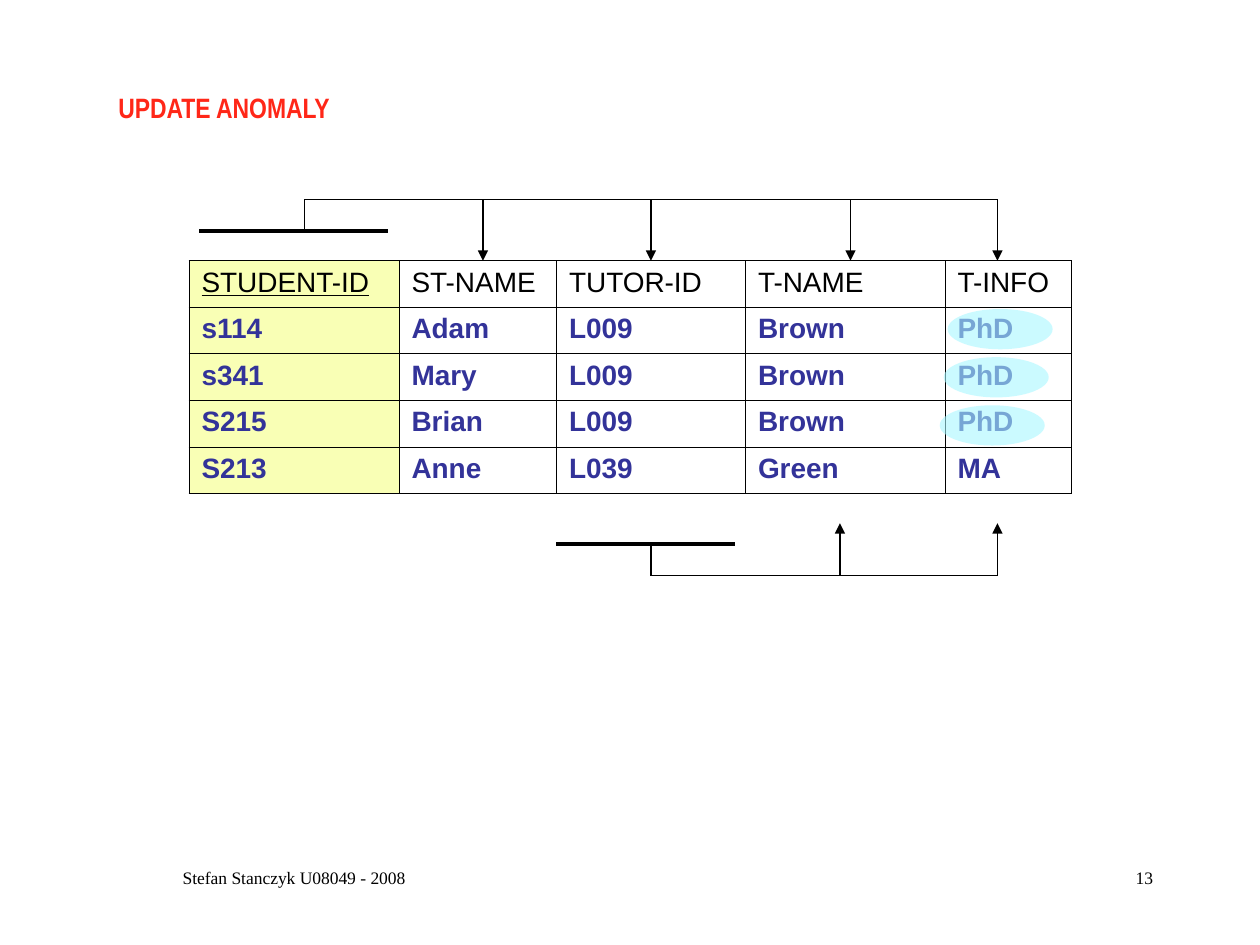
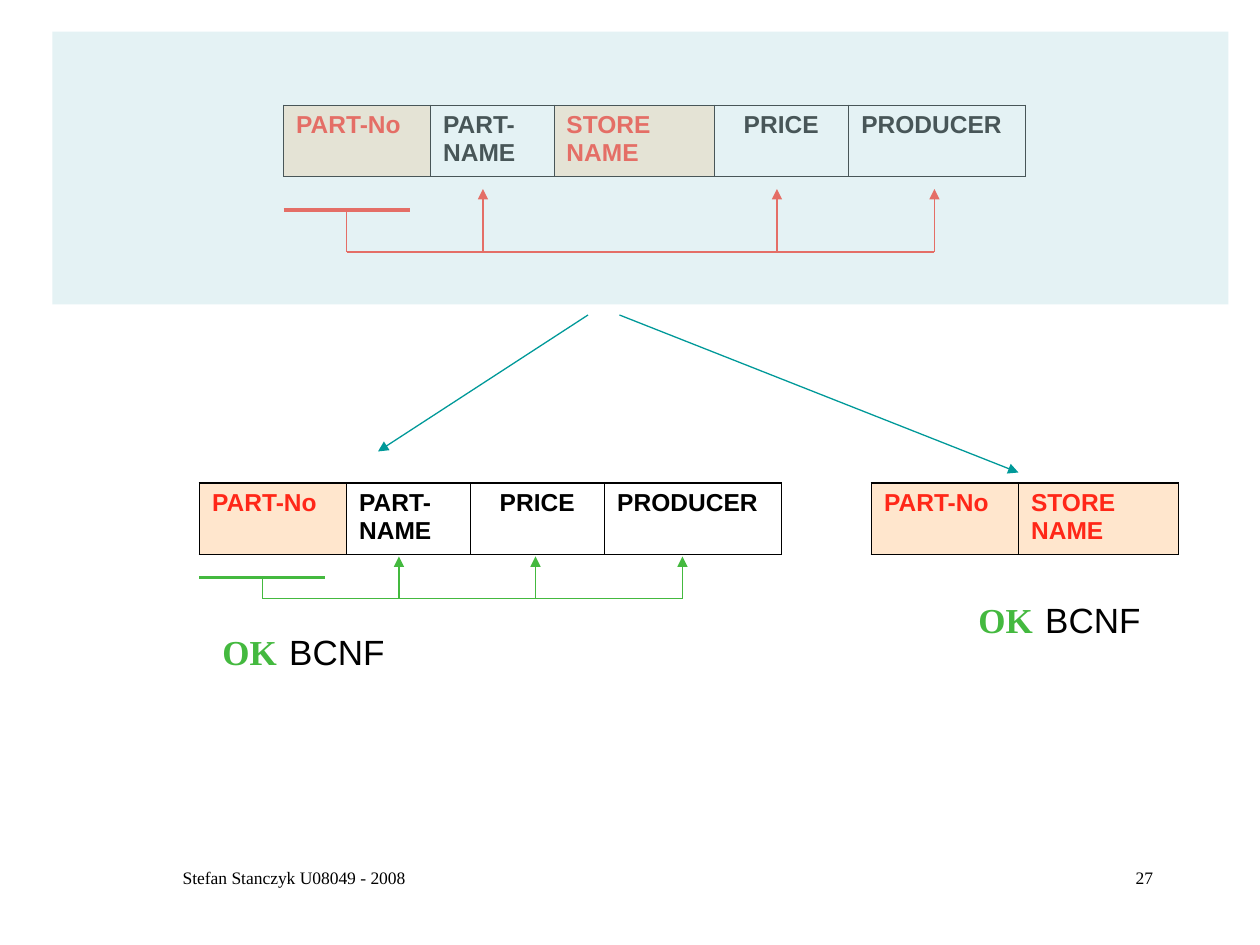
"""Build two database normalisation slides."""
import dataclasses

import lxml.etree
import pptx
import pptx.dml.color
import pptx.enum.shapes
import pptx.enum.text
import pptx.oxml.ns
import pptx.util

Pt = pptx.util.Pt
ALIGN = pptx.enum.text.PP_ALIGN
SHAPE = pptx.enum.shapes.MSO_SHAPE


@dataclasses.dataclass(frozen=True)
class Theme:
    """Colours, fonts, type sizes and line weights of the deck."""

    black: str = "000000"
    red: str = "FF2718"
    green: str = "44B93F"
    teal: str = "009999"
    navy: str = "333399"
    yellow: str = "F9FFB5"
    peach: str = "FFE6CD"
    cyan: str = "A8F8FF"
    pale_blue: str = "BBE0E3"
    sans: str = "Arial"
    narrow: str = "Arial Narrow"
    serif: str = "Times New Roman"
    footer_size: float = 10
    relation_size: float = 14
    heading_size: float = 16
    verdict_size: float = 20
    gap_size: float = 28
    hairline: float = 0.45
    thin: float = 0.75
    frame: float = 1.08
    bar: float = 2.25


@dataclasses.dataclass(frozen=True)
class Box:
    """A rectangle in points."""

    left: float
    top: float
    width: float
    height: float

    def lengths(self):
        """Return the four sides as slide lengths."""
        return Pt(self.left), Pt(self.top), Pt(self.width), Pt(self.height)


THEME = Theme()
COLUMN_WIDTHS = {"PART-No": 84, "PART-NAME": 70.5, "STORE NAME": 91.5,
                 "PRICE": 77, "PRODUCER": 101}
KEY_COLUMNS = ("PART-No", "STORE NAME")
STUDENT_WIDTHS = (120, 90, 108, 114, 72)
STUDENTS = (
    ("STUDENT-ID", "ST-NAME", "TUTOR-ID", "T-NAME", "T-INFO"),
    ("s114", "Adam", "L009", "Brown", "PhD"),
    ("s341", "Mary", "L009", "Brown", "PhD"),
    ("S215", "Brian", "L009", "Brown", "PhD"),
    ("S213", "Anne", "L039", "Green", "MA"),
)


def rgb(colour):
    """Turn a hex string into a colour."""
    return pptx.dml.color.RGBColor.from_string(colour)


def add_element(parent, tag, **attributes):
    """Append a drawing element to its parent."""
    return lxml.etree.SubElement(parent, pptx.oxml.ns.qn(tag), attributes)


def add_span(para, text, size, colour, face, bold=False, underline=False):
    """Add one formatted run."""
    span = para.add_run()
    span.text = text
    span.font.size = Pt(size)
    span.font.name = face
    span.font.bold = bold
    span.font.underline = underline
    span.font.color.rgb = rgb(colour)


def add_text(page, box, spans, align=ALIGN.LEFT, wrap=False):
    """Add a text box with one paragraph of runs."""
    frame = page.shapes.add_textbox(*box.lengths()).text_frame
    frame.word_wrap = wrap
    if not wrap:
        frame.auto_size = pptx.enum.text.MSO_AUTO_SIZE.SHAPE_TO_FIT_TEXT
    para = frame.paragraphs[0]
    para.alignment = align
    for span in spans:
        add_span(para, *span)


def add_line(page, start, end, colour, weight=THEME.thin, arrow=False):
    """Draw a straight line, optionally with an arrowhead at its end."""
    line = page.shapes.add_connector(
        pptx.enum.shapes.MSO_CONNECTOR.STRAIGHT,
        *(Pt(value) for value in (*start, *end)))
    line.line.width = Pt(weight)
    line.line.color.rgb = rgb(colour)
    properties = line.element.spPr
    if arrow:
        add_element(properties.find(pptx.oxml.ns.qn("a:ln")), "a:tailEnd",
                    type="triangle", w="med", len="med")
    add_element(properties, "a:effectLst")


def add_veil(page, kind, box, colour, opacity):
    """Lay a translucent shape over the page."""
    veil = page.shapes.add_shape(kind, *box.lengths())
    veil.shadow.inherit = False
    veil.line.fill.background()
    veil.fill.solid()
    veil.fill.fore_color.rgb = rgb(colour)
    tint = next(veil.element.spPr.iter(pptx.oxml.ns.qn("a:srgbClr")))
    add_element(tint, "a:alpha", val=str(opacity * 1000))


def add_grid(page, box, widths, row_count):
    """Add a plain table with the given columns and equal rows."""
    table = page.shapes.add_table(row_count, len(widths), *box.lengths()).table
    table.first_row = table.horz_banding = False
    for column, width in zip(table.columns, widths):
        column.width = Pt(width)
    for row in table.rows:
        row.height = Pt(box.height / row_count)
    return table


def set_cell(cell, fill, weights):
    """Set a cell's left, right, top and bottom borders, then its fill."""
    properties = cell._tc.get_or_add_tcPr()
    for side, weight in zip("LRTB", weights):
        border = add_element(properties, f"a:ln{side}", w=str(int(Pt(weight))))
        add_element(add_element(border, "a:solidFill"), "a:srgbClr",
                    val=THEME.black)
    if fill:
        cell.fill.solid()
        cell.fill.fore_color.rgb = rgb(fill)
    else:
        cell.fill.background()


def add_students(page, box):
    """Add the student table with its highlighted key column."""
    table = add_grid(page, box, STUDENT_WIDTHS, len(STUDENTS))
    for row, values in enumerate(STUDENTS):
        for column, value in enumerate(values):
            cell = table.cell(row, column)
            key, header = column == 0, row == 0
            set_cell(cell, THEME.yellow if key else None, [THEME.hairline] * 4)
            add_span(cell.text_frame.paragraphs[0], value, THEME.heading_size,
                     THEME.black if header else THEME.navy, THEME.sans,
                     bold=not header, underline=key and header)


def add_relation(page, left, top, names, outer):
    """Add a one-row relation schema with an outer border weight."""
    widths = [COLUMN_WIDTHS[name] for name in names]
    table = add_grid(page, Box(left, top, sum(widths), 40.6), widths, 1)
    for column, name in enumerate(names):
        cell = table.cell(0, column)
        key = name in KEY_COLUMNS
        set_cell(cell, THEME.peach if key else None, (
            outer if column == 0 else THEME.hairline,
            outer if column == len(names) - 1 else THEME.hairline,
            outer, outer))
        para = cell.text_frame.paragraphs[0]
        para.alignment = ALIGN.CENTER if name == "PRICE" else ALIGN.LEFT
        add_span(para, name, THEME.relation_size,
                 THEME.red if key else THEME.black, THEME.sans, bold=True)


def add_dependency(page, box, bar_length, bar_drop, stem, targets, colour,
                   downward=False):
    """Draw a key bar joined by a rail to arrows at the target offsets."""
    bottom = box.top + box.height
    rail, tip = (box.top, bottom) if downward else (bottom, box.top)
    bar = box.top + bar_drop
    stem_x, right = box.left + stem, box.left + box.width
    add_line(page, (box.left, bar), (box.left + bar_length, bar), colour,
             THEME.bar)
    add_line(page, (stem_x, bar), (stem_x, rail), colour)
    add_line(page, (stem_x, rail), (right, rail), colour)
    for target in (*targets, box.width):
        x = box.left + target
        add_line(page, (x, rail), (x, tip), colour, arrow=True)


def add_verdict(page, left, top):
    """Add the normal form verdict."""
    add_text(page, Box(left, top, 107.5, 41), (
        ("OK", THEME.verdict_size, THEME.green, THEME.serif, True),
        (" ", THEME.gap_size, THEME.green, THEME.serif),
        ("BCNF", THEME.verdict_size, THEME.black, THEME.sans)))


def add_footer(page, box, number):
    """Add the author line and the page number in the footer strip."""
    for left, width, text, align in (
            (0, 228, "Stefan Stanczyk U08049 - 2008", ALIGN.CENTER),
            (box.width - 150, 150, number, ALIGN.RIGHT)):
        add_text(page, Box(box.left + left, box.top, width, box.height),
                 [(text, THEME.footer_size, THEME.black, THEME.serif)],
                 align, wrap=True)


def add_page(deck, number):
    """Add a blank page with the shared footer."""
    page = deck.slides.add_slide(deck.slide_layouts[6])
    add_footer(page, Box(54, 492, 612, 36), number)
    return page


def build_anomaly(deck):
    """Build the update anomaly slide."""
    page = add_page(deck, "13")
    add_text(page, Box(60.5, 48.2, 137.5, 26.6), [
        ("UPDATE ANOMALY", THEME.heading_size, THEME.red, THEME.narrow, True)])
    add_students(page, Box(108, 149, sum(STUDENT_WIDTHS), 133))
    add_dependency(page, Box(114, 114, 456, 35), 108, 18, 60,
                   (162, 258, 372), THEME.black, downward=True)
    add_dependency(page, Box(318, 299, 252, 30), 102, 12, 54, (162,),
                   THEME.black)
    for step in range(3):
        add_veil(page, SHAPE.OVAL,
                 Box(541.5 - 2.25 * step, 176.6 + 27.5 * step, 60, 23),
                 THEME.cyan, 59)


def build_decomposition(deck):
    """Build the slide that splits a relation into two."""
    page = add_page(deck, "27")
    add_relation(page, 162, 60, list(COLUMN_WIDTHS), THEME.hairline)
    add_dependency(page, Box(162, 108, 372, 36), 72, 12, 36, (114, 282),
                   THEME.red)
    add_veil(page, SHAPE.RECTANGLE, Box(30, 18, 672, 156), THEME.pale_blue, 39)
    for start, end in (((336, 180), (216, 258)), ((354, 180), (582, 270))):
        add_line(page, start, end, THEME.teal, arrow=True)
    add_relation(page, 114, 276, ["PART-No", "PART-NAME", "PRICE", "PRODUCER"],
                 THEME.frame)
    add_dependency(page, Box(114, 318, 276, 24), 72, 12, 36, (114, 192),
                   THEME.green)
    add_relation(page, 498, 276, KEY_COLUMNS, THEME.frame)
    add_verdict(page, 120, 348.5)
    add_verdict(page, 552, 330.5)


def main():
    """Build and save the deck."""
    deck = pptx.Presentation()
    deck.slide_width, deck.slide_height = Pt(720), Pt(540)
    build_anomaly(deck)
    build_decomposition(deck)
    deck.save("out.pptx")


if __name__ == "__main__":
    main()
